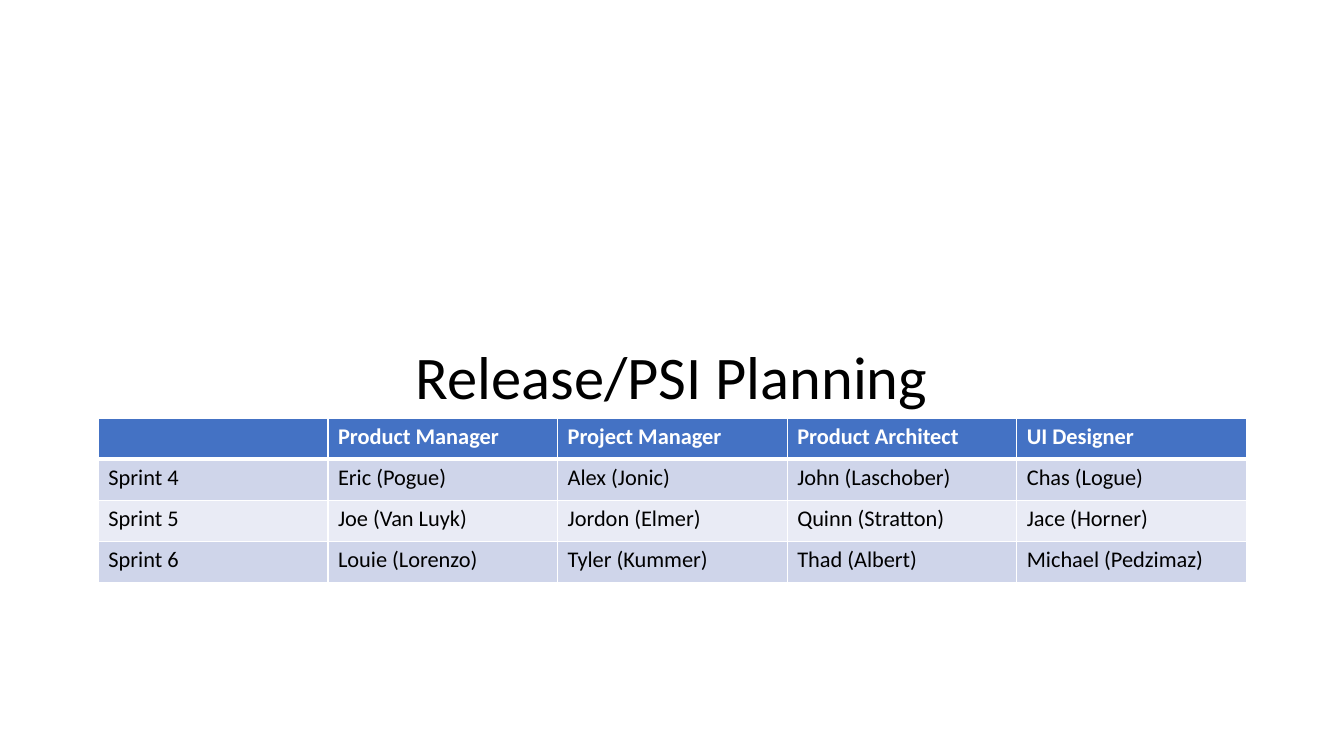
import dataclasses

import pptx
import pptx.dml.color
import pptx.enum.text
import pptx.oxml
import pptx.oxml.ns
import pptx.util
from pptx.util import Cm


@dataclasses.dataclass(frozen=True)
class Theme:
    font: str = "Calibri"
    title_size: float = 43.2
    table_size: float = 16
    text: str = "000000"
    header_text: str = "FFFFFF"
    header_fill: str = "4472C4"
    band_fills: tuple = ("CFD5EA", "E9EBF5")
    border: str = "FFFFFF"
    thin: float = 1
    thick: float = 3


THEME = Theme()

SPRINT_ROLES = [
    ["", "Product Manager", "Project Manager", "Product Architect", "UI Designer"],
    ["Sprint 4", "Eric (Pogue)", "Alex (Jonic)", "John (Laschober)", "Chas (Logue)"],
    ["Sprint 5", "Joe (Van Luyk)", "Jordon (Elmer)", "Quinn (Stratton)", "Jace (Horner)"],
    ["Sprint 6", "Louie (Lorenzo)", "Tyler (Kummer)", "Thad (Albert)", "Michael (Pedzimaz)"],
]


def rgb(value):
    return pptx.dml.color.RGBColor.from_string(value)


def style_paragraph(para, size, color, bold=False):
    para.font.name = THEME.font
    para.font.size = pptx.util.Pt(size)
    para.font.color.rgb = rgb(color)
    para.font.bold = bold


def add_borders(cell, widths):
    """Draw the cell's borders; widths maps each side (L, R, T, B) to points."""
    properties = cell._tc.get_or_add_tcPr()
    for side, width in widths.items():
        properties.append(pptx.oxml.parse_xml(
            f'<a:ln{side} {pptx.oxml.ns.nsdecls("a")} w="{pptx.util.Pt(width)}">'
            f'<a:solidFill><a:srgbClr val="{THEME.border}"/></a:solidFill></a:ln{side}>'))


def add_title(page, text, left, top, width, height):
    box = page.shapes.add_textbox(left, top, width, height)
    frame = box.text_frame
    frame.word_wrap = True
    frame.vertical_anchor = pptx.enum.text.MSO_ANCHOR.BOTTOM
    para = frame.paragraphs[0]
    para.text = text
    para.alignment = pptx.enum.text.PP_ALIGN.CENTER
    para.line_spacing = 0.9
    style_paragraph(para, THEME.title_size, THEME.text)


def add_role_table(page, rows, left, top, width, height):
    table = page.shapes.add_table(
        len(rows), len(rows[0]), left, top, width, height).table
    for row_index, row in enumerate(rows):
        is_header = row_index == 0
        # Header row in solid blue, then alternating bands
        fill = THEME.header_fill if is_header else THEME.band_fills[(row_index - 1) % 2]
        color = THEME.header_text if is_header else THEME.text
        widths = {
            "L": THEME.thin,
            "R": THEME.thin,
            "T": THEME.thick if row_index == 1 else THEME.thin,
            "B": THEME.thick if is_header else THEME.thin,
        }
        for column_index, text in enumerate(row):
            cell = table.cell(row_index, column_index)
            cell.text = text
            style_paragraph(cell.text_frame.paragraphs[0],
                            THEME.table_size, color, is_header)
            add_borders(cell, widths)
            cell.fill.solid()
            cell.fill.fore_color.rgb = rgb(fill)


def add_planning_page(deck):
    page = deck.slides.add_slide(deck.slide_layouts[6])
    # Title sits directly above the table
    add_title(page, "Release/PSI Planning", Cm(4.23), Cm(8.51), Cm(25.4), Cm(2.01))
    # Sprint roles
    add_role_table(page, SPRINT_ROLES, Cm(2.48), Cm(10.54), Cm(28.93), Cm(4.14))


def main():
    deck = pptx.Presentation()
    deck.slide_width = Cm(33.87)
    deck.slide_height = Cm(19.05)
    add_planning_page(deck)
    deck.save("out.pptx")


if __name__ == "__main__":
    main()
